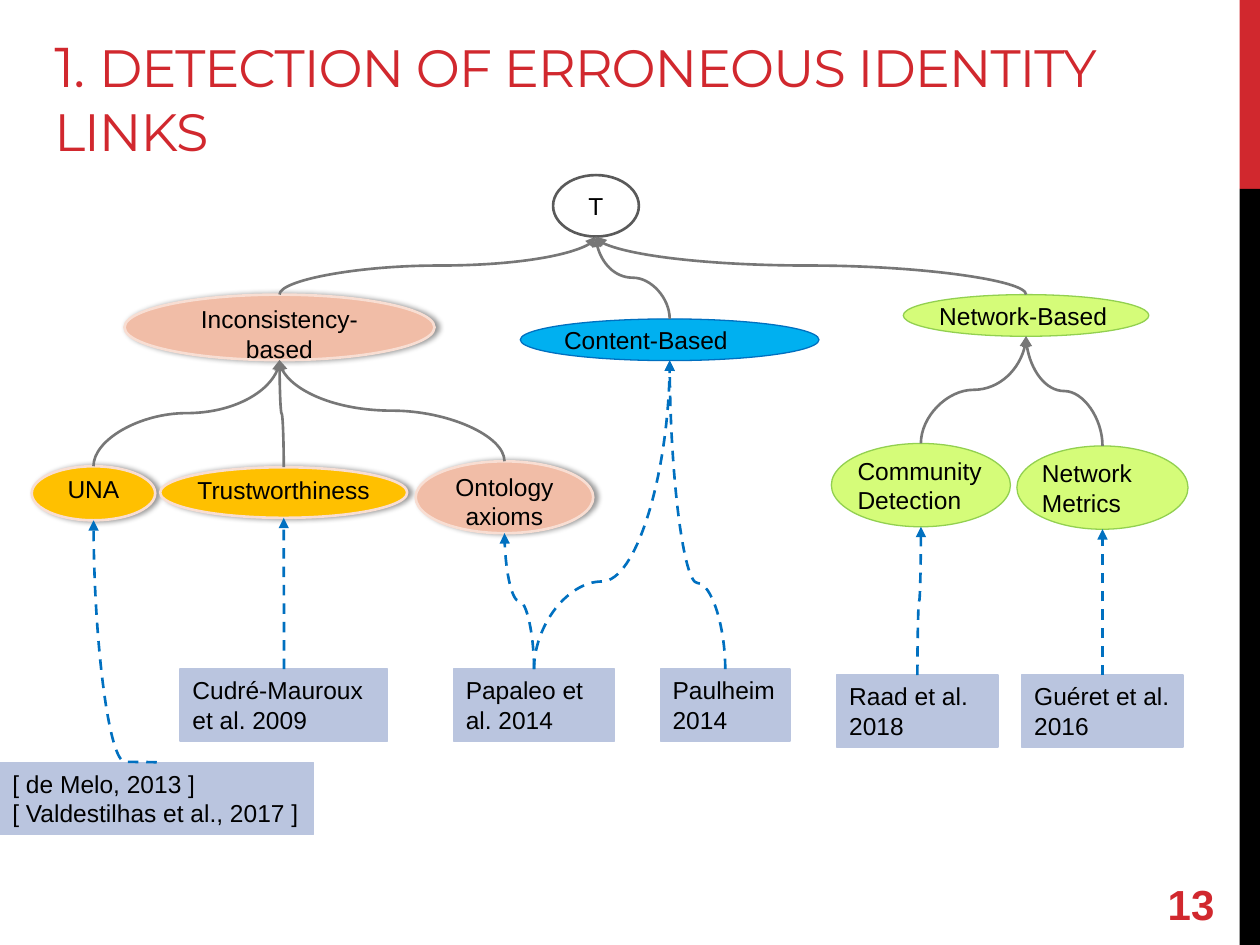
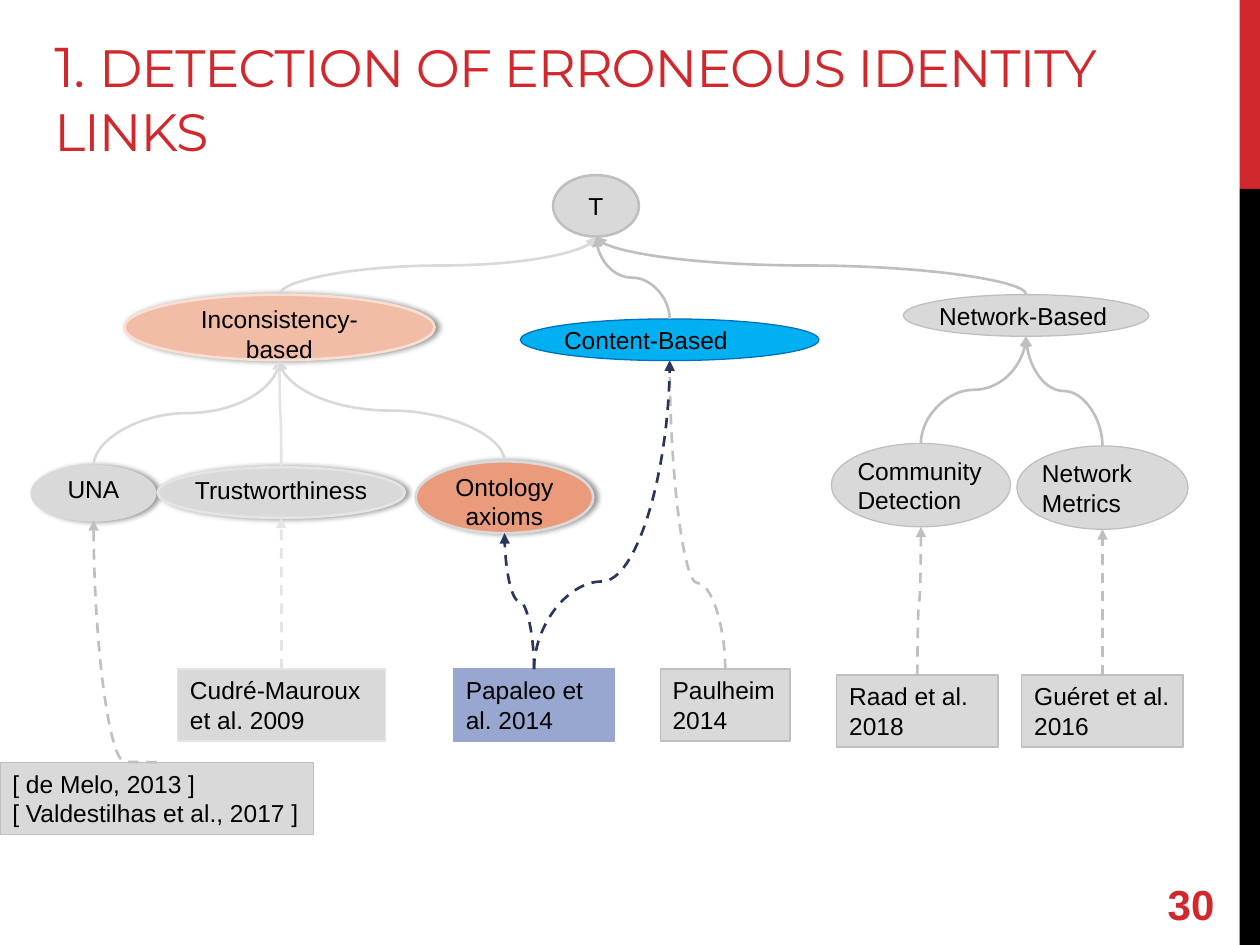
from lxml import etree
from pptx import Presentation
from pptx.dml.color import RGBColor
from pptx.enum import dml, shapes, text
from pptx.oxml import ns
from pptx.util import Cm, Pt

RED = RGBColor(0xD1, 0x28, 0x2E)
BLACK = RGBColor(0x00, 0x00, 0x00)
CHARCOAL = RGBColor(0x5A, 0x5A, 0x5A)
DARK_GREY = RGBColor(0x77, 0x77, 0x77)
MID_GREY = RGBColor(0xBF, 0xBF, 0xBF)
LIGHT_GREY = RGBColor(0xD9, 0xD9, 0xD9)
PALE_GREY = RGBColor(0xE4, 0xE4, 0xE4)
PEACH = RGBColor(0xF1, 0xBD, 0xA7)
PALE_PEACH = RGBColor(0xF8, 0xDE, 0xD3)
ORANGE = RGBColor(0xEA, 0x9B, 0x7C)
AMBER = RGBColor(0xFF, 0xC0, 0x00)
LIME = RGBColor(0xD5, 0xFC, 0x79)
GREEN = RGBColor(0x92, 0xD0, 0x50)
SKY = RGBColor(0x00, 0xB0, 0xF0)
BLUE = RGBColor(0x00, 0x70, 0xC0)
NAVY = RGBColor(0x28, 0x36, 0x59)
PERIWINKLE = RGBColor(0xBA, 0xC5, 0xDF)
DARK_PERIWINKLE = RGBColor(0x97, 0xA7, 0xD0)

NODES = [
    ("root", "T", 11.15, 3.53, 1.73, 1.24, "root"),
    ("inconsistency", "Inconsistency-based", 2.51, 5.94, 6.25, 1.32, "raised"),
    ("network", "Network-Based", 18.21, 5.94, 4.95, 0.84, "flat"),
    ("content", "Content-Based", 10.49, 6.43, 6.02, 0.84, "flat"),
    ("una", "UNA", 0.64, 9.4, 2.49, 1.09, "raised"),
    ("trust", "Trustworthiness", 3.23, 9.42, 4.98, 1.02, "raised"),
    ("ontology", "Ontology\naxioms", 8.38, 9.3, 3.58, 1.45, "raised"),
    ("community", "Community\nDetection", 16.76, 8.94, 3.61, 1.68, "flat"),
    ("metrics", "Network\nMetrics", 20.5, 8.99, 3.45, 1.68, "flat"),
    ("melo", "[ de Melo, 2013 ]\n[ Valdestilhas et al., 2017 ]", 0, 15.37, 6.32, 1.45, "reference"),
    ("cudre", "Cudré-Mauroux et al. 2009", 3.63, 13.49, 4.19, 1.45, "reference"),
    ("papaleo", "Papaleo et al. 2014", 9.14, 13.49, 3.25, 1.45, "reference"),
    ("paulheim", "Paulheim\n2014", 13.31, 13.49, 2.62, 1.45, "reference"),
    ("raad", "Raad et al. 2018", 16.87, 13.61, 3.25, 1.45, "reference"),
    ("gueret", "Guéret et al. 2016", 20.6, 13.61, 3.25, 1.45, "reference"),
]
LINKS = [
    ("inconsistency", "root", 0.5), ("network", "root", 0.5), ("content", "root", 0.5),
    ("una", "inconsistency", 0.5), ("trust", "inconsistency", 0.5),
    ("ontology", "inconsistency", 0.5),
    ("community", "network", 0.5), ("metrics", "network", 0.5),
    ("melo", "una", 0.002), ("cudre", "trust", 0.5),
    ("raad", "community", 0.5), ("gueret", "metrics", 0.5),
    ("paulheim", "content", 0.279), ("papaleo", "ontology", 0.5),
    ("papaleo", "content", 0.284),
]
REFERENCES = {key for key, *_, kind in NODES if kind == "reference"}

FULL_NODES = {key: (PERIWINKLE, PERIWINKLE) for key in REFERENCES}
FULL_NODES.update({key: (LIME, GREEN) for key in ("network", "community", "metrics")})
FULL_NODES.update({key: (AMBER, PALE_PEACH) for key in ("una", "trust")})
FULL_NODES.update({key: (PEACH, PALE_PEACH) for key in ("inconsistency", "ontology")})
FULL_NODES.update(root=(None, CHARCOAL), content=(SKY, BLUE))
FOCUS_NODES = {
    "inconsistency": (PEACH, PALE_PEACH), "content": (SKY, BLUE),
    "ontology": (ORANGE, LIGHT_GREY), "papaleo": (DARK_PERIWINKLE, DARK_PERIWINKLE),
    "una": (LIGHT_GREY, LIGHT_GREY), "trust": (LIGHT_GREY, PALE_GREY),
    "cudre": (LIGHT_GREY, PALE_GREY),
}
FULL_LINKS = {key: BLUE for key in REFERENCES}
FOCUS_LINKS = {
    "inconsistency": LIGHT_GREY, "una": LIGHT_GREY, "ontology": LIGHT_GREY,
    "trust": PALE_GREY, "cudre": PALE_GREY, "papaleo": NAVY,
}
SLIDES = [
    ("13", FULL_NODES, FULL_LINKS, DARK_GREY, 0),
    ("30", FOCUS_NODES, FOCUS_LINKS, MID_GREY, -0.05),
]


def add_node(slide, label, left, top, width, height, kind, fill, outline):
    preset = shapes.MSO_SHAPE.RECTANGLE if kind == "reference" else shapes.MSO_SHAPE.OVAL
    shape = slide.shapes.add_shape(preset, Cm(left), Cm(top), Cm(width), Cm(height))
    shape.shadow.inherit = False
    if fill is None:
        shape.fill.background()
    else:
        shape.fill.solid()
        shape.fill.fore_color.rgb = fill
    shape.line.color.rgb = outline
    shape.line.width = Pt(1.5 if kind in ("root", "raised") else 0.75)
    if kind == "raised":
        effects = shape._element.spPr.find(ns.qn("a:effectLst"))
        shadow = etree.SubElement(effects, ns.qn("a:outerShdw"), blurRad=str(Pt(3.1)),
                                  dist=str(Pt(1.8)), dir="0", rotWithShape="0")
        color = etree.SubElement(shadow, ns.qn("a:srgbClr"), val=str(BLACK))
        etree.SubElement(color, ns.qn("a:alpha"), val="40000")
    frame = shape.text_frame
    frame.word_wrap = True
    frame.vertical_anchor = text.MSO_ANCHOR.MIDDLE if kind == "root" else text.MSO_ANCHOR.TOP
    if kind in ("raised", "flat"):
        frame.margin_left = frame.margin_right = frame.margin_top = frame.margin_bottom = 0
    frame.text = label
    for paragraph in frame.paragraphs:
        centred = kind in ("root", "raised")
        paragraph.alignment = text.PP_ALIGN.CENTER if centred else text.PP_ALIGN.LEFT
        for run in paragraph.runs:
            run.font.size = Pt(14)
            run.font.name = "Arial"
            run.font.color.rgb = BLACK
    return shape


def add_link(slide, child, parent, bend, color, dashed):
    start_x, start_y = child.left + child.width // 2, child.top
    end_x, end_y = parent.left + parent.width // 2, parent.top + parent.height
    rise, run = start_y - end_y, abs(end_x - start_x)
    left = (start_x + end_x - rise) // 2
    top = (start_y + end_y - run) // 2
    connector = slide.shapes.add_connector(
        shapes.MSO_CONNECTOR.CURVE, left, top, left + rise, top + run)
    properties = connector._element.spPr
    frame = properties.find(ns.qn("a:xfrm"))
    frame.set("flipV", "1")
    if end_x > start_x:
        frame.set("rot", "5400000")
        frame.set("flipH", "1")
    else:
        frame.set("rot", "16200000")
    guides = properties.find(ns.qn("a:prstGeom")).find(ns.qn("a:avLst"))
    etree.SubElement(guides, ns.qn("a:gd"), name="adj1", fmla=f"val {round(bend * 100000)}")
    connector.line.color.rgb = color
    connector.line.width = Pt(1.5)
    if dashed:
        connector.line.dash_style = dml.MSO_LINE.DASH
    etree.SubElement(properties.find(ns.qn("a:ln")), ns.qn("a:tailEnd"), type="triangle")
    etree.SubElement(properties, ns.qn("a:effectLst"))


presentation = Presentation()
presentation.slide_width = Cm(25.4)
presentation.slide_height = Cm(19.05)
layout = presentation.slide_layouts[5]

for number, node_colors, link_colors, link_default, nudge in SLIDES:
    slide = presentation.slides.add_slide(layout)

    if number == SLIDES[0][0]:
        for top, height, color in ((0, 3.81, RED), (3.81, 15.24, BLACK)):
            band = slide.shapes.add_shape(
                shapes.MSO_SHAPE.RECTANGLE, Cm(24.99), Cm(top), Cm(0.41), Cm(height))
            band.shadow.inherit = False
            band.fill.solid()
            band.fill.fore_color.rgb = color
            band.line.fill.background()
            layout.shapes._spTree.append(band._element)

    title = slide.shapes.title
    title.left, title.top, title.width, title.height = Cm(0.84), Cm(0.51), Cm(23.88), Cm(3)
    title.text_frame.auto_size = text.MSO_AUTO_SIZE.NONE
    title.text_frame.vertical_anchor = text.MSO_ANCHOR.TOP
    paragraph = title.text_frame.paragraphs[0]
    paragraph.alignment = text.PP_ALIGN.LEFT
    for words, size in (("1. ", 32), ("DETECTION OF ERRONEOUS IDENTITY LINKS", 30)):
        run = paragraph.add_run()
        run.text = words
        run.font.size = Pt(size)
        run.font.name = "Montserrat"
        run.font.color.rgb = RED
        run._r.get_or_add_rPr().set("spc", "-60")

    page = slide.shapes.add_textbox(Cm(23.29), Cm(17.7), Cm(2.11), Cm(1.02))
    page.text_frame.word_wrap = True
    page.text_frame.vertical_anchor = text.MSO_ANCHOR.MIDDLE
    page.text_frame.text = number
    font = page.text_frame.paragraphs[0].runs[0].font
    font.size = Pt(24)
    font.name = "Arial"
    font.bold = True
    font.color.rgb = RED

    drawn = {}
    for key, label, left, top, width, height, kind in NODES:
        fill, outline = node_colors.get(key, (LIGHT_GREY, MID_GREY))
        shift = nudge if key in ("trust", "cudre") else 0
        drawn[key] = add_node(slide, label, left + shift, top, width, height, kind, fill, outline)
    for child, parent, bend in LINKS:
        add_link(slide, drawn[child], drawn[parent], bend,
                 link_colors.get(child, link_default), child in REFERENCES)

presentation.save("out.pptx")
